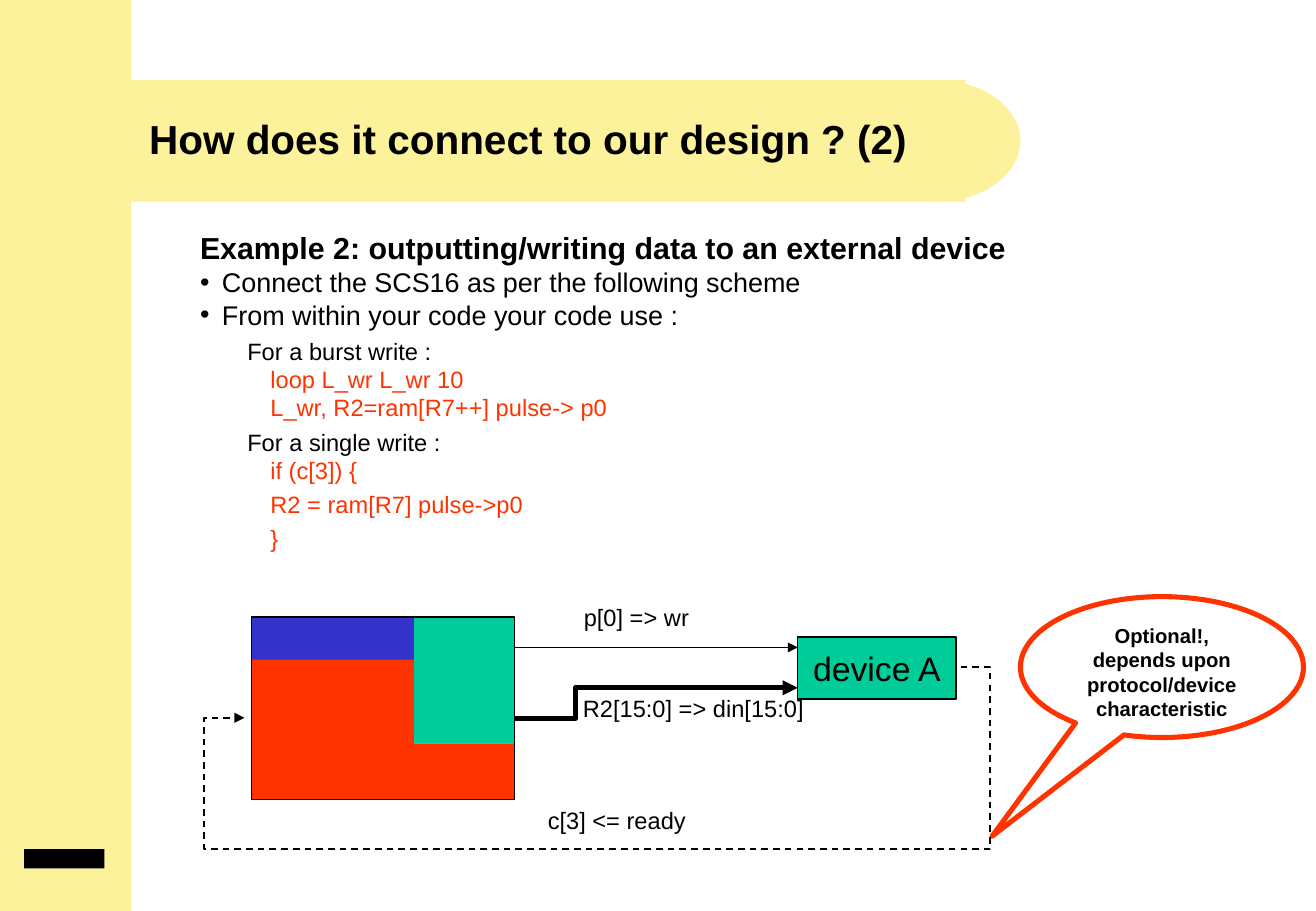
from dataclasses import dataclass
from typing import Optional

import lxml.etree
import pptx
import pptx.dml.color
import pptx.enum.dml
import pptx.enum.shapes
import pptx.enum.text
import pptx.oxml.ns
import pptx.util

Pt = pptx.util.Pt
SHAPE = pptx.enum.shapes.MSO_SHAPE
ALIGN = pptx.enum.text.PP_ALIGN
ANCHOR = pptx.enum.text.MSO_ANCHOR
FIT = pptx.enum.text.MSO_AUTO_SIZE
COLOURS = {"cream": "FBF29B", "red": "FF3300", "green": "00CC99", "blue": "3333CC",
           "black": "000000", "white": "FFFFFF"}
FONT = "Arial"


@dataclass
class Block:
    kind: int
    left: float
    top: float
    width: float
    height: float
    fill: Optional[str] = None
    line: Optional[str] = None
    weight: float = 0.75


@dataclass
class Label:
    text: str
    left: float
    top: float
    width: float


@dataclass
class Wire:
    points: list[tuple[float, float]]
    weight: float
    dashed: bool = False


@dataclass
class Item:
    lines: list[tuple[str, str]]
    size: float
    before: float
    left: float
    hanging: float = 0
    spacing: float = 1.0
    level: int = 0
    bold: bool = False
    bullet: Optional[str] = None


BANNER = [
    Block(SHAPE.RECTANGLE, 54.7, 47.5, 517.4, 72, "cream"),
    Block(SHAPE.OVAL, 505.4, 47.5, 99.6, 72, "cream"),
]
SIDEBAR = [
    Block(SHAPE.RECTANGLE, 0, 0, 77.8, 540, "cream"),
    Block(SHAPE.RECTANGLE, 14.4, 503.3, 47.5, 11.5, "black"),
]
PROCESSOR = [
    Block(SHAPE.RECTANGLE, 149, 440.6, 156.2, 33.2, "red"),
    Block(SHAPE.RECTANGLE, 149, 390.2, 96.5, 51, "red"),
    Block(SHAPE.RECTANGLE, 245.5, 365.8, 59.7, 74.9, "green"),
    Block(SHAPE.RECTANGLE, 149, 365.8, 96.5, 25.2, "blue"),
    Block(SHAPE.RECTANGLE, 149, 365.8, 156.2, 108, None, "black"),
]
DEVICE = Block(SHAPE.RECTANGLE, 473, 377.6, 93.8, 36.7, "green", "black")
CALLOUT = Block(SHAPE.OVAL_CALLOUT, 605, 353.7, 167.8, 83.5, "white", "red", 3)
LABELS = [
    Label("R2[15:0] => din[15:0]", 338.4, 407.8, 145.4),
    Label("p[0] => wr", 338.4, 353.8, 77.8),
    Label("c[3] <= ready", 317.5, 474, 96.5),
]
DATA_WIRE = Wire([(305.3, 425.7), (341.3, 425.7), (341.3, 407.7), (473, 407.7)], 3)
READY_WIRE = Wire([(569.5, 395.5), (587, 395.5), (587, 503.3), (121, 503.3),
                   (121, 425.5), (144.9, 425.5)], 1, True)

POINT = dict(size=16, before=4, left=13.7, hanging=13, spacing=0.8, bullet="•")
CODE = dict(size=14, before=3.5, left=42.4, level=1)
ITEMS = [
    Item([("Example 2: outputting/writing data to an external device", "black")],
         18, 0, 13.7, 13, 0.8, bold=True),
    Item([("Connect the SCS16 as per the following scheme", "black")], **POINT),
    Item([("From within your code your code use :", "black")], **POINT),
    Item([("For a burst write :", "black"), ("loop L_wr L_wr 10", "red"),
          ("L_wr, R2=ram[R7++] pulse-> p0", "red")], hanging=13.7, **CODE),
    Item([("For a single write :", "black"), ("if (c[3]) {", "red")], hanging=13.7, **CODE),
    Item([("R2 = ram[R7] pulse->p0", "red")], **CODE),
    Item([("}", "red")], **CODE),
]


def colour(name: str) -> pptx.dml.color.RGBColor:
    return pptx.dml.color.RGBColor.from_string(COLOURS[name])


def child(parent, tag: str, **attributes: str) -> None:
    lxml.etree.SubElement(parent, pptx.oxml.ns.qn(tag), **attributes)


def add_span(para, text: str, size: float, bold: bool = False, shade: str = "black") -> None:
    span = para.add_run()
    span.text = text
    span.font.name, span.font.size, span.font.bold = FONT, Pt(size), bold
    span.font.color.rgb = colour(shade)


def place(box, left: float, top: float, width: float, height: float) -> None:
    box.left, box.top, box.width, box.height = Pt(left), Pt(top), Pt(width), Pt(height)


def add_block(page, block: Block):
    box = page.shapes.add_shape(block.kind, Pt(block.left), Pt(block.top),
                                Pt(block.width), Pt(block.height))
    box.shadow.inherit = False
    if block.fill:
        box.fill.solid()
        box.fill.fore_color.rgb = colour(block.fill)
    else:
        box.fill.background()
    if block.line:
        box.line.color.rgb = colour(block.line)
        box.line.width = Pt(block.weight)
    else:
        box.line.fill.background()
    return box


def write_centred(box, text: str, size: float, bold: bool, wrap: bool, anchor) -> None:
    frame = box.text_frame
    frame.word_wrap, frame.vertical_anchor = wrap, anchor
    para = frame.paragraphs[0]
    para.alignment = ALIGN.CENTER
    add_span(para, text, size, bold)


def style_arrow(line, weight: float) -> None:
    line.color.rgb = colour("black")
    line.width = Pt(weight)
    child(line._get_or_add_ln(), "a:tailEnd", type="triangle")


def add_wire(page, wire: Wire) -> None:
    points = [(Pt(x), Pt(y)) for x, y in wire.points]
    builder = page.shapes.build_freeform(*points[0])
    builder.add_line_segments(points[1:], close=False)
    route = builder.convert_to_shape()
    route.shadow.inherit = False
    route.fill.background()
    if wire.dashed:
        route.line.dash_style = pptx.enum.dml.MSO_LINE.DASH
    style_arrow(route.line, wire.weight)


def add_item(para, item: Item) -> None:
    para.level, para.alignment = item.level, ALIGN.LEFT
    para.line_spacing, para.space_before = item.spacing, Pt(item.before)
    properties = para._p.get_or_add_pPr()
    properties.set("marL", str(Pt(item.left)))
    properties.set("indent", str(-Pt(item.hanging)))
    if item.bullet:
        child(properties, "a:buChar", char=item.bullet)
    else:
        child(properties, "a:buNone")
    for number, (text, shade) in enumerate(item.lines):
        if number:
            para.add_line_break()
        add_span(para, text, item.size, item.bold, shade)


def main() -> None:
    deck = pptx.Presentation()
    deck.slide_width, deck.slide_height = Pt(780.2), Pt(540)
    page = deck.slides.add_slide(deck.slide_layouts[1])
    title, body = page.shapes.title, page.placeholders[1]

    # Banner and callout, behind the text
    for block in BANNER:
        add_block(page, block)
    callout = add_block(page, CALLOUT)
    callout.adjustments[0], callout.adjustments[1] = -0.6, 1.2
    write_centred(callout, "Optional!, depends upon protocol/device characteristic",
                  12, True, True, ANCHOR.TOP)

    # Title and list
    for holder in (title, body):
        page.shapes.element.append(holder.element)
        holder.text_frame.auto_size = FIT.NONE
    place(title, 81.2, 37, 663.1, 90)
    title.text_frame.vertical_anchor = ANCHOR.MIDDLE
    heading = title.text_frame.paragraphs[0]
    heading.alignment = ALIGN.LEFT
    add_span(heading, "How does it connect to our design ? (2)", 24, True)
    place(body, 110.7, 136.4, 581.8, 200.9)
    for number, item in enumerate(ITEMS):
        frame = body.text_frame
        add_item(frame.add_paragraph() if number else frame.paragraphs[0], item)

    # Processor, device and signal names
    for block in PROCESSOR:
        add_block(page, block)
    write_centred(add_block(page, DEVICE), "device A", 20, False, False, ANCHOR.MIDDLE)
    for label in LABELS:
        box = page.shapes.add_textbox(Pt(label.left), Pt(label.top), Pt(label.width), Pt(24.5))
        write_centred(box, label.text, 14, False, False, ANCHOR.TOP)
        box.text_frame.auto_size = FIT.SHAPE_TO_FIT_TEXT

    # Signals
    write_line = page.shapes.add_connector(pptx.enum.shapes.MSO_CONNECTOR.STRAIGHT,
                                           Pt(305.3), Pt(383.8), Pt(473), Pt(383.8))
    style_arrow(write_line.line, 0.75)
    child(write_line.element.spPr, "a:effectLst")
    for wire in (DATA_WIRE, READY_WIRE):
        add_wire(page, wire)

    # Side band with its plate
    for block in SIDEBAR:
        add_block(page, block)
    deck.save("out.pptx")


if __name__ == "__main__":
    main()
